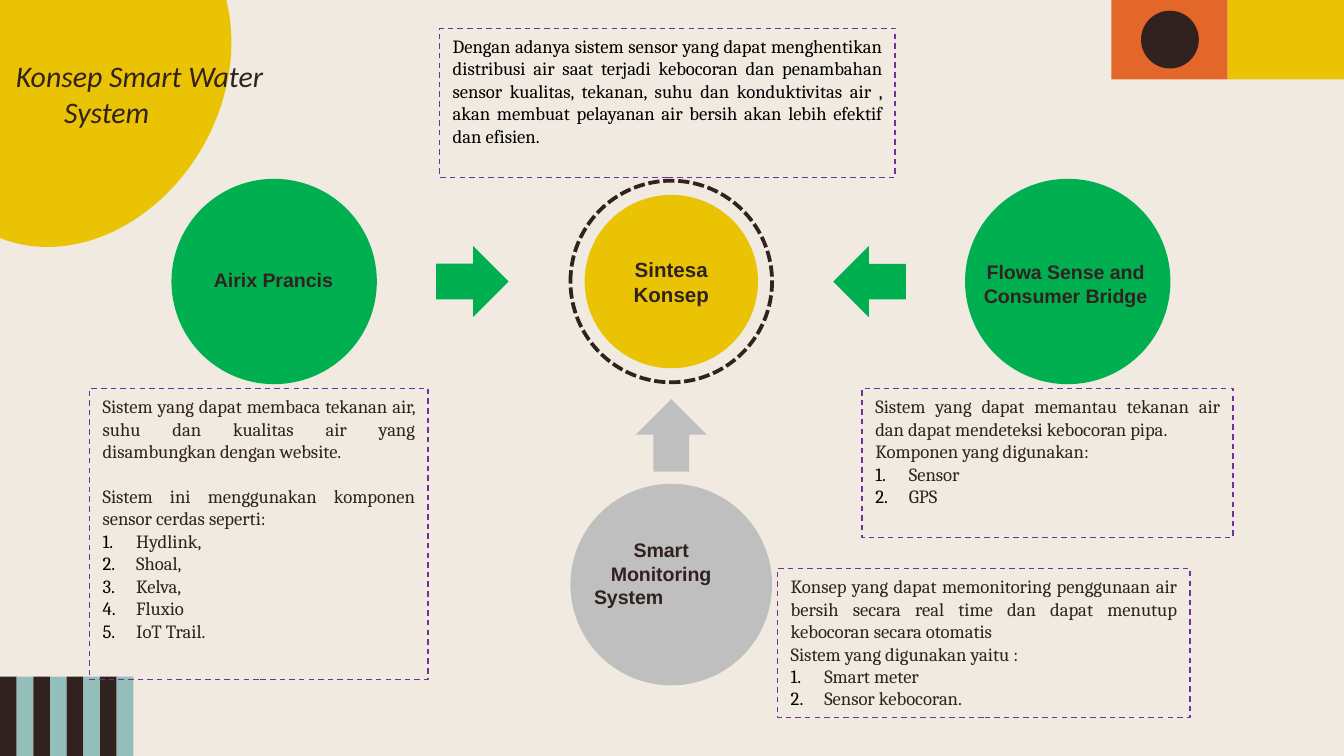
from lxml import etree
from pptx import Presentation
from pptx import util as u
from pptx.dml.color import RGBColor
from pptx.enum import dml, shapes, text
from pptx.oxml.ns import qn

COLORS = {"paper": "F0EAE1", "ink": "31221F", "teal": "94BEBA", "orange": "E36729",
          "yellow": "EAC304", "green": "00B050", "gray": "BFBFBF",
          "purple": "7030A0", "black": "000000"}
COLS, ROWS = 100, 56.25  # grid cells are a tenth of an inch
CIRCLE = 15              # diameter of the concept circles
KIND = shapes.MSO_SHAPE
ALIGN = text.PP_ALIGN


def rgb(name):
    return RGBColor.from_string(COLORS[name])


class Deck:
    def __init__(self):
        self.prs = Presentation()
        self.prs.slide_width = u.Inches(10)
        self.prs.slide_height = self.prs.slide_width * 9 // 16
        self.s = self.prs.slides.add_slide(self.prs.slide_layouts[6])
        self.s.background.fill.solid()
        self.s.background.fill.fore_color.rgb = rgb("paper")

    def grid(self, x, y, w, h):
        col, row = self.prs.slide_width / COLS, self.prs.slide_height / ROWS
        return [round(v) for v in (x * col, y * row, w * col, h * row)]

    def shape(self, kind, at, fill=None, line=None, width=2, dash=None, turn=0):
        sp = self.s.shapes.add_shape(kind, *self.grid(*at))
        sp.shadow.inherit = False
        sp.rotation = turn
        if fill:
            sp.fill.solid()
            sp.fill.fore_color.rgb = rgb(fill)
        else:
            sp.fill.background()
        if line:
            sp.line.color.rgb = rgb(line)
            sp.line.width = u.Pt(width)
            sp.line.dash_style = dash
        else:
            sp.line.fill.background()
        return sp

    def style(self, p, align, size, face, color="ink", bold=False, italic=False):
        p.alignment = align
        for r in p.runs:
            r.font.size, r.font.name = u.Pt(size), face
            r.font.bold, r.font.italic = bold, italic
            r.font.color.rgb = rgb(color)

    def indent(self, p, left, hanging):
        pPr = p._p.get_or_add_pPr()
        pPr.set("marL", str(u.Inches(left)))
        pPr.set("indent", str(-u.Inches(hanging)))
        return pPr

    def number(self, p):
        pPr = self.indent(p, 0.25, 0.25)
        clr = etree.SubElement(pPr, qn("a:buClr"))
        etree.SubElement(clr, qn("a:srgbClr"), val=COLORS["black"])
        etree.SubElement(pPr, qn("a:buAutoNum"), type="arabicPeriod")

    def label(self, words, at, size=10.5):
        tf = self.s.shapes.add_textbox(*self.grid(*at)).text_frame
        tf.word_wrap = True
        tf.text = words
        self.style(tf.paragraphs[0], ALIGN.CENTER, size, "Arial", bold=True)

    def title(self, words, at):
        tf = self.s.shapes.add_textbox(*self.grid(*at)).text_frame
        tf.word_wrap = True
        tf.margin_top = tf.margin_bottom = u.Inches(0.1)
        tf.text = words
        p = tf.paragraphs[0]
        self.indent(p, 0.5, 0.36)
        self.style(p, ALIGN.LEFT, 16, "Calibri", italic=True)

    def note(self, at, lines, items=(), color="ink", gap=0):
        sp = self.shape(KIND.RECTANGLE, at, line="purple", width=0.75,
                        dash=dml.MSO_LINE.DASH)
        tf = sp.text_frame
        tf.word_wrap = True
        tf.vertical_anchor = text.MSO_ANCHOR.TOP
        tf.text = "\n".join([*lines, *items])
        for i, p in enumerate(tf.paragraphs):
            if i >= len(lines):
                self.number(p)
            elif i and gap:
                p.space_before = u.Pt(gap)
            self.style(p, ALIGN.JUSTIFY, 10, "Cambria", color)


def main():
    d = Deck()

    # Corner decorations
    stripe, band = 1.24, 5.9
    for i in range(8):
        d.shape(KIND.RECTANGLE, (i * stripe, ROWS - band, stripe, band),
                ("ink", "teal")[i % 2])
    for x, fill in ((82.7, "orange"), (91.35, "yellow")):
        d.shape(KIND.RECTANGLE, (x, 0, 8.65, band), fill)
    d.shape(KIND.OVAL, (84.9, 0.8, 4.3, 4.3), "ink")
    d.shape(KIND.OVAL, (-7.9, -5.5, 27, 21.9), "yellow", turn=299.5)

    # Title
    d.title("Konsep Smart Water System", (-1.2, 3.3, 23.6, 7.5))

    # Concept circles
    d.shape(KIND.OVAL, (42.45, 13.45, CIRCLE, CIRCLE), line="ink",
            dash=dml.MSO_LINE.SQUARE_DOT)
    for x in (12.9, 71.95):
        d.shape(KIND.OVAL, (x, 13.45, CIRCLE, CIRCLE), "green", "green")
    d.shape(KIND.OVAL, (42.45, 36, CIRCLE, CIRCLE), "gray")
    core = d.shape(KIND.OVAL, (43.5, 14.5, 12.9, 12.9), "yellow")
    core.text_frame.text = "Sintesa Konsep"
    d.style(core.text_frame.paragraphs[0], ALIGN.CENTER, 11, "Arial", bold=True)

    # Upward arrow
    d.shape(KIND.UP_ARROW, (47.3, 29.7, 5.3, 5.4), "gray")

    # Circle labels
    d.label("Airix Prancis", (13.3, 19.45, 14.1, 2.9))
    d.label("Flowa Sense and Consumer Bridge", (71.6, 18.85, 15.4, 4.5))
    d.label("Smart Monitoring System \t", (42.9, 39.55, 12.6, 6.3))

    # Sideways arrows
    for x, turn in ((62.05, 270), (32.5, 90)):
        d.shape(KIND.UP_ARROW, (x, 18.25, 5.3, 5.4), "green", turn=turn)

    # Descriptions
    d.note((6.65, 28.9, 25.2, 21.65),
           ["Sistem yang dapat membaca tekanan air, suhu dan kualitas air yang "
            "disambungkan dengan website.",
            "Sistem ini menggunakan komponen sensor cerdas seperti:"],
           ["Hydlink,", "Shoal,", "Kelva,", "Fluxio", "IoT Trail."], gap=12)
    d.note((57.85, 42.3, 30.7, 11.1),
           ["Konsep yang dapat memonitoring penggunaan air bersih secara real time "
            "dan dapat menutup kebocoran secara otomatis",
            "Sistem yang digunakan yaitu :"],
           ["Smart meter", "Sensor kebocoran."])
    d.note((64.15, 28.9, 27.6, 11.1),
           ["Sistem yang dapat memantau tekanan air dan dapat mendeteksi "
            "kebocoran pipa.",
            "Komponen yang digunakan:"],
           ["Sensor", "GPS"])
    d.note((32.7, 2.1, 33.9, 11.1),
           ["Dengan adanya sistem sensor yang dapat menghentikan distribusi air saat "
            "terjadi kebocoran dan penambahan sensor kualitas, tekanan, suhu dan "
            "konduktivitas air , akan membuat pelayanan air bersih akan lebih "
            "efektif dan efisien."], color="black")

    d.prs.save("out.pptx")


if __name__ == "__main__":
    main()
